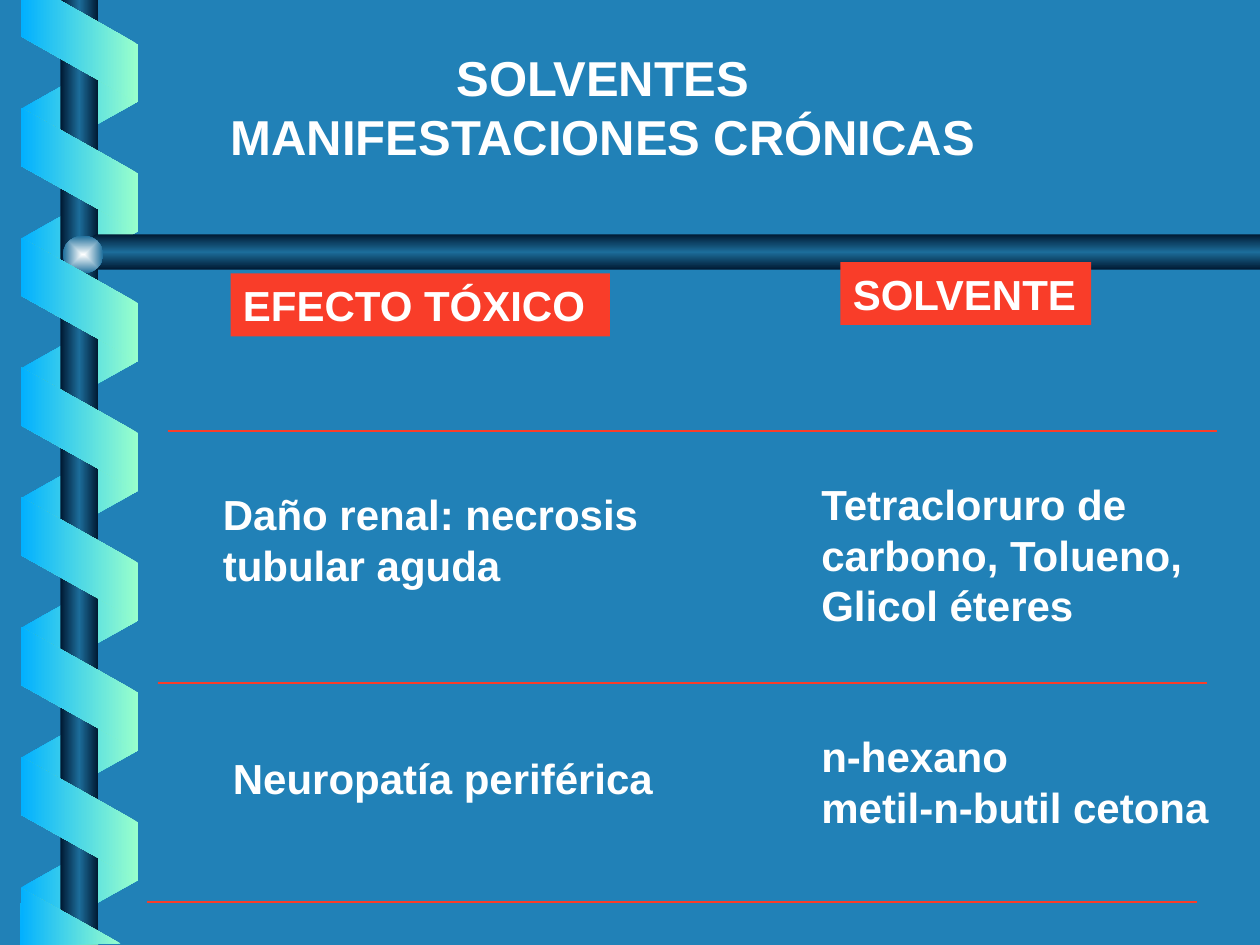
from dataclasses import dataclass
from typing import NamedTuple

import pptx
import pptx.dml.color
import pptx.enum.shapes
import pptx.enum.text
import pptx.oxml
import pptx.oxml.ns
import pptx.util

Inches = pptx.util.Inches
Preset = pptx.enum.shapes.MSO_SHAPE
Align = pptx.enum.text.PP_ALIGN


@dataclass(frozen=True)
class Theme:
    background: str = "2181B7"
    text: str = "FFFFFF"
    accent: str = "F93D29"
    ribbon: tuple = ("99FFCC", "01B0FF")
    rod: tuple = ("001932", "1C6D9A", "001932")
    ball: tuple = ("FEFFFF", "1C6D9A")
    font: str = "Arial"
    title_size: int = 28
    body_size: int = 24


class Box(NamedTuple):
    left: float
    top: float
    width: float
    height: float

    def lengths(self) -> list:
        return [Inches(value) for value in self]


class Block(NamedTuple):
    text: str
    box: Box
    fill: str | None = None
    size: int = Theme.body_size
    align: Align = Align.LEFT


class Rule(NamedTuple):
    left: float
    top: float


THEME = Theme()
RULE_LENGTH = 8.33
RIBBON_STEP = 1.03

BLOCKS = [
    Block("SOLVENTES\nMANIFESTACIONES CRÓNICAS", Box(1.72, 0.33, 6.13, 1.04),
          size=THEME.title_size, align=Align.CENTER),
    Block("SOLVENTE", Box(6.67, 2.08, 1.99, 0.5), THEME.accent),
    Block("EFECTO TÓXICO", Box(1.83, 2.17, 3.01, 0.5), THEME.accent),
    Block("Tetracloruro de\ncarbono, Tolueno,\nGlicol éteres", Box(6.42, 3.75, 3.09, 1.3)),
    Block("Daño renal: necrosis\ntubular aguda", Box(1.67, 3.83, 3.59, 0.9)),
    Block("n-hexano\nmetil-n-butil cetona", Box(6.42, 5.75, 3.31, 0.9)),
    Block("Neuropatía periférica", Box(1.75, 5.92, 3.57, 0.5)),
]
RULES = [Rule(1.33, 3.42), Rule(1.25, 5.42), Rule(1.17, 7.16)]


def rgb(value: str):
    return pptx.dml.color.RGBColor.from_string(value)


def paint_gradient(shape, colours: tuple, angle: int | None) -> None:
    """Linear gradient at a clockwise angle, or from the centre if it is None."""
    shape.shadow.inherit = False
    shape.line.fill.background()
    shape.fill.background()
    last = len(colours) - 1
    stops = "".join(
        f'<a:gs pos="{100000 * index // last}"><a:srgbClr val="{colour}"/></a:gs>'
        for index, colour in enumerate(colours))
    if angle is None:
        course = ('<a:path path="rect"><a:fillToRect l="50000" t="50000"'
                  ' r="50000" b="50000"/></a:path>')
    else:
        course = f'<a:lin ang="{angle * 60000}" scaled="0"/>'
    gradient = pptx.oxml.parse_xml(
        f'<a:gradFill {pptx.oxml.ns.nsdecls("a")} rotWithShape="0">'
        f'<a:gsLst>{stops}</a:gsLst>{course}</a:gradFill>')
    properties = shape._element.spPr
    properties.replace(properties.find(pptx.oxml.ns.qn("a:noFill")), gradient)


def add_preset(page, preset, box: Box, colours: tuple, angle: int | None):
    shape = page.shapes.add_shape(preset, *box.lengths())
    paint_gradient(shape, colours, angle)
    return shape


def add_outline(page, points: list, colours: tuple, angle: int) -> None:
    corners = [(Inches(x), Inches(y)) for x, y in points]
    builder = page.shapes.build_freeform(*corners[0])
    builder.add_line_segments(corners[1:], close=True)
    paint_gradient(builder.convert_to_shape(), colours, angle)


def add_ribbon(page, first_top: float, count: int, behind: bool) -> None:
    """Evenly spaced strands, leaning one way behind the rod and the other in front."""
    colours = THEME.ribbon[::-1] if behind else THEME.ribbon
    for index in range(count):
        box = Box(0.14, first_top + index * RIBBON_STEP, 0.98, 0.93)
        strand = add_preset(page, Preset.PARALLELOGRAM, box, colours, 180)
        strand.adjustments[0] = 0.56
        strand.rotation = 90 if behind else 270
        if behind:
            strand._element.spPr.xfrm.set("flipH", "1")


def add_text(page, text: str, *, box: Box, fill: str | None, size: int, align) -> None:
    if fill:
        shape = page.shapes.add_shape(Preset.RECTANGLE, *box.lengths())
        shape.shadow.inherit = False
        shape.fill.solid()
        shape.fill.fore_color.rgb = rgb(fill)
        shape.line.fill.background()
    else:
        shape = page.shapes.add_textbox(*box.lengths())
    frame = shape.text_frame
    frame.word_wrap = False
    frame.auto_size = pptx.enum.text.MSO_AUTO_SIZE.SHAPE_TO_FIT_TEXT
    frame.vertical_anchor = pptx.enum.text.MSO_ANCHOR.TOP
    frame.text = text
    for para in frame.paragraphs:
        para.alignment = align
        for span in para.runs:
            span.font.name = THEME.font
            span.font.size = pptx.util.Pt(size)
            span.font.bold = True
            span.font.color.rgb = rgb(THEME.text)


def add_rule(page, rule: Rule) -> None:
    line = page.shapes.add_connector(
        pptx.enum.shapes.MSO_CONNECTOR.STRAIGHT, Inches(rule.left), Inches(rule.top),
        Inches(rule.left + RULE_LENGTH), Inches(rule.top))
    line.line.color.rgb = rgb(THEME.accent)
    line.line.width = pptx.util.Pt(1)
    line._element.spPr.append(
        pptx.oxml.parse_xml(f'<a:effectLst {pptx.oxml.ns.nsdecls("a")}/>'))


def main() -> None:
    deck = pptx.Presentation()
    deck.slide_width, deck.slide_height = Inches(10), Inches(7.5)
    page = deck.slides.add_slide(deck.slide_layouts[6])
    page.background.fill.solid()
    page.background.fill.fore_color.rgb = rgb(THEME.background)

    # Rods with the ribbon wound around the upright one
    add_ribbon(page, 0.37, 7, behind=True)
    add_preset(page, Preset.RECTANGLE, Box(0.48, 0, 0.3, 7.5), THEME.rod, 180)
    add_outline(page, [(10, 1.86), (0.76, 1.86), (0.6, 2), (0.76, 2.14), (10, 2.14)],
                THEME.rod, 90)
    add_preset(page, Preset.OVAL, Box(0.5, 1.87, 0.32, 0.3), THEME.ball, None)
    add_ribbon(page, 0.88, 6, behind=False)

    # Ribbon ends cut by the slide edges
    add_outline(page, [(0.17, 0), (0.17, 0.29), (1.09, 0.81), (1.09, 0.35), (0.47, 0)],
                THEME.ribbon, 180)
    add_outline(page, [(0.96, 7.49), (0.17, 7.05), (0.16, 7.5)], THEME.ribbon, 180)

    # Title, column labels and table-like text
    for block in BLOCKS:
        add_text(page, block.text, box=block.box, fill=block.fill,
                 size=block.size, align=block.align)

    # Row separators
    for rule in RULES:
        add_rule(page, rule)

    deck.save("out.pptx")


if __name__ == "__main__":
    main()
